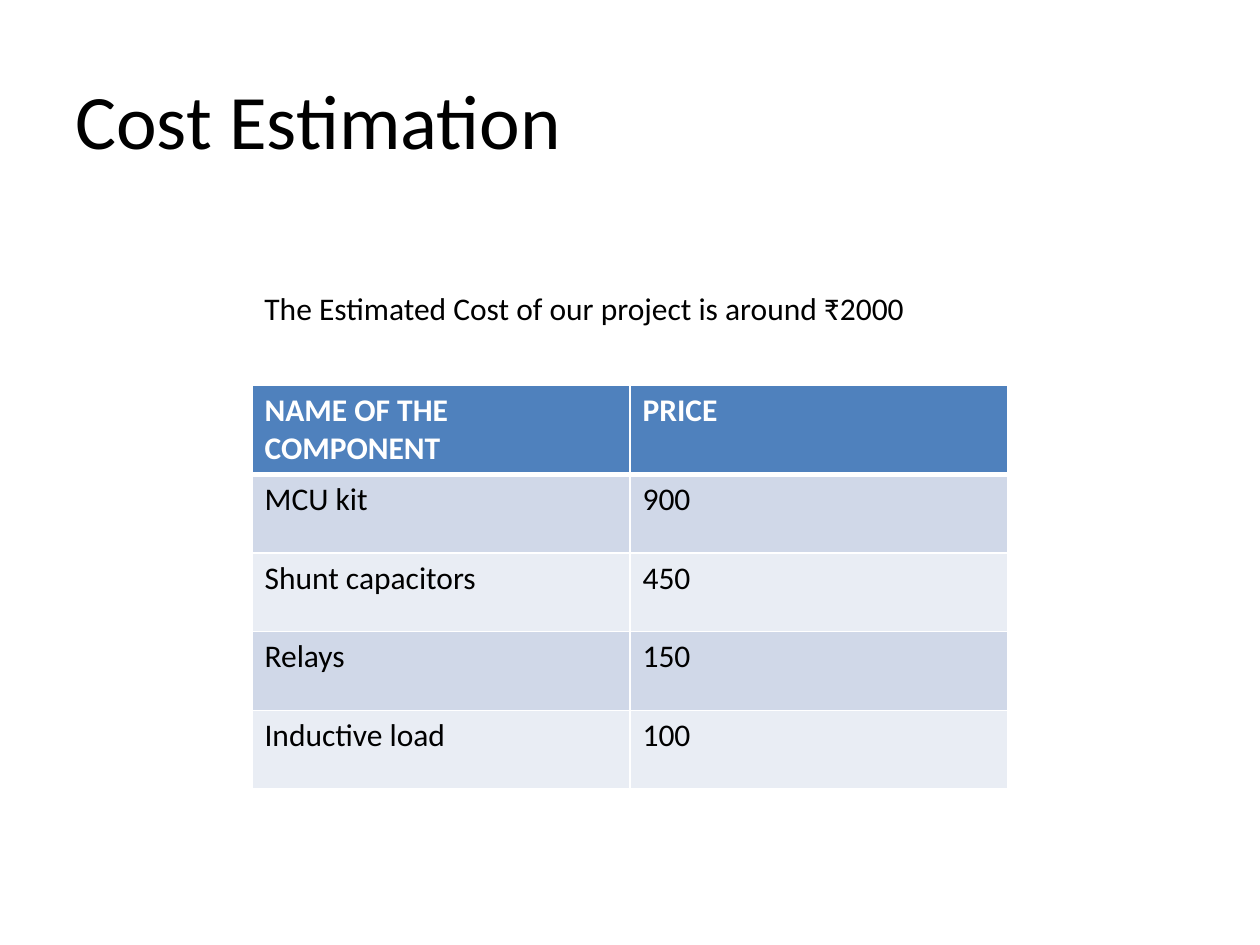
from lxml import etree
from pptx import Presentation
from pptx.dml.color import RGBColor
from pptx.enum.text import MSO_ANCHOR, PP_ALIGN
from pptx.oxml.ns import qn
from pptx.util import Pt

MIDDLE = MSO_ANCHOR.MIDDLE
TOP = MSO_ANCHOR.TOP
LEFT = PP_ALIGN.LEFT
BLACK = RGBColor(0x00, 0x00, 0x00)
WHITE = RGBColor(0xFF, 0xFF, 0xFF)
BLUE = RGBColor(0x4F, 0x81, 0xBD)
BANDS = RGBColor(0xE9, 0xED, 0xF4), RGBColor(0xD0, 0xD8, 0xE8)

COSTS = [
    ("NAME OF THE COMPONENT", "PRICE"),
    ("MCU kit", "900"),
    ("Shunt capacitors", "450"),
    ("Relays", "150"),
    ("Inductive load", "100"),
]


class Page:
    """Holds the text style and the current slide, and adds elements to it."""

    def __init__(self, slide, font="Calibri", size=18):
        self.slide = slide
        self.font = font
        self.size = size

    def label(self, frame, text, size=None, color=BLACK, bold=False):
        para = frame.paragraphs[0]
        para.alignment = LEFT
        run = para.add_run()
        run.text = text
        run.font.name = self.font
        run.font.size = Pt(size or self.size)
        run.font.bold = bold
        run.font.color.rgb = color

    def text(self, text, left, top, width, height, size=None, anchor=TOP):
        box = self.slide.shapes.add_textbox(Pt(left), Pt(top), Pt(width), Pt(height))
        frame = box.text_frame
        frame.word_wrap = True
        frame.vertical_anchor = anchor
        self.label(frame, text, size)

    def border(self, cell, side, width):
        props = cell._tc.get_or_add_tcPr()
        line = etree.SubElement(props, qn(f"a:ln{side}"), w=str(Pt(width)))
        fill = etree.SubElement(line, qn("a:solidFill"))
        etree.SubElement(fill, qn("a:srgbClr"), val=str(WHITE))

    def table(self, rows, left, top, width, head, step):
        count = len(rows)
        height = head + step * (count - 1)
        frame = self.slide.shapes.add_table(
            count, len(rows[0]), Pt(left), Pt(top), Pt(width), Pt(height))
        grid = frame.table
        for r, row in enumerate(rows):
            first = r == 0
            grid.rows[r].height = Pt(head if first else step)
            lines = {"L": 1, "R": 1, "T": 3 if r == 1 else 1, "B": 3 if first else 1}
            for c, text in enumerate(row):
                cell = grid.cell(r, c)
                for side, weight in lines.items():
                    self.border(cell, side, weight)
                cell.fill.solid()
                cell.fill.fore_color.rgb = BLUE if first else BANDS[r % 2]
                self.label(cell.text_frame, text, color=WHITE if first else BLACK, bold=first)


def main():
    deck = Presentation()
    deck.slide_width, deck.slide_height = Pt(720), Pt(540)
    page = Page(deck.slides.add_slide(deck.slide_layouts[6]))
    page.text("Cost Estimation", 36, 32, 648, 72, size=44, anchor=MIDDLE)
    page.table(COSTS, left=144, top=220, width=432, head=51, step=45)
    page.text("The Estimated Cost of our project is around ₹2000", 144, 161.5, 618.5, 29)
    deck.save("out.pptx")


if __name__ == "__main__":
    main()
